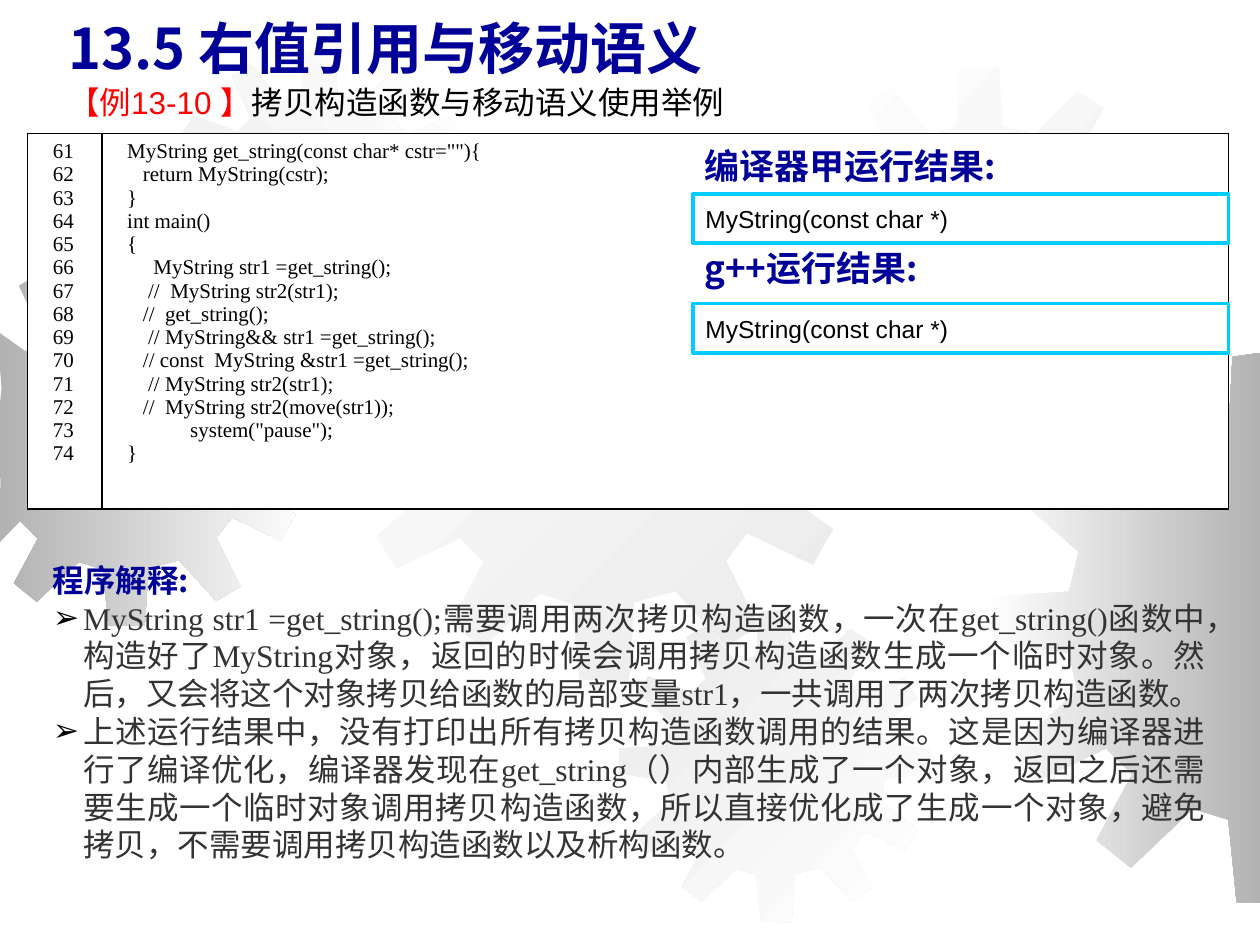
from lxml.etree import SubElement
from pptx import Presentation
from pptx.dml.color import RGBColor
from pptx.enum.shapes import MSO_SHAPE
from pptx.enum.text import MSO_ANCHOR, PP_ALIGN
from pptx.oxml import parse_xml
from pptx.oxml.ns import nsdecls, qn
from pptx.util import Inches, Pt

BLACK = RGBColor(0x00, 0x00, 0x00)
WHITE = RGBColor(0xFF, 0xFF, 0xFF)
NAVY = RGBColor(0x00, 0x00, 0x99)
RED = RGBColor(0xFF, 0x00, 0x00)
CYAN = RGBColor(0x00, 0xCC, 0xFF)
DARK_GRAY = RGBColor(0x33, 0x33, 0x33)
MID_GRAY = RGBColor(0xB2, 0xB2, 0xB2)
PALE_GRAY = RGBColor(0xEA, 0xEA, 0xEA)
CJK_FONT = "Noto Sans CJK SC"
SERIF_FONT = "Times New Roman"


def write(paragraph, text, size=18, font="Arial", color=BLACK, bold=False):
    run = paragraph.add_run()
    run.text = text
    run.font.size = Pt(size)
    run.font.name = font
    run.font.bold = bold
    run.font.color.rgb = color
    SubElement(run.font._element, qn("a:ea"), typeface=CJK_FONT)


def set_up_frame(shape, left=0.1, right=0.1, vertical=0.05):
    frame = shape.text_frame
    frame.word_wrap = True
    frame.vertical_anchor = MSO_ANCHOR.MIDDLE
    frame.margin_left, frame.margin_right = Inches(left), Inches(right)
    frame.margin_top = frame.margin_bottom = Inches(vertical)
    frame.paragraphs[0].alignment = PP_ALIGN.LEFT
    return frame


presentation = Presentation()
presentation.slide_width = Inches(10)
presentation.slide_height = Inches(7.5)
slide = presentation.slides.add_slide(presentation.slide_layouts[6])
shapes = slide.shapes

# Background gears: one outline, scaled and cut off at the slide edges
GEAR_SIZE = 4.01
GEAR_OUTLINE = [
    (2.55, 0.67), (2.23, 0.59), (2.19, 0), (1.8, 0.03), (1.77, 0.59), (1.51, 0.68),
    (1.13, 0.2), (0.87, 0.35), (1.12, 0.88), (0.94, 1.06), (0.38, 0.85), (0.25, 1.07),
    (0.68, 1.45), (0.61, 1.74), (0.01, 1.78), (0, 2.1), (0.61, 2.19), (0.67, 2.46),
    (0.22, 2.87), (0.38, 3.12), (0.88, 2.88), (1.07, 3.07), (0.81, 3.55), (1.06, 3.75),
    (1.51, 3.32), (1.77, 3.4), (1.83, 4), (2.22, 4.01), (2.26, 3.39), (2.59, 3.3),
    (2.99, 3.74), (3.25, 3.58), (2.99, 3.06), (3.16, 2.84), (3.68, 3.09), (3.84, 2.81),
    (3.36, 2.46), (3.42, 2.16), (4.01, 2.1), (4, 1.8), (3.41, 1.71), (3.35, 1.48),
    (3.83, 1.14), (3.67, 0.87), (3.13, 1.09), (2.96, 0.91), (3.23, 0.41), (2.97, 0.25),
]
# left, top, size, start colour, end colour, clockwise angle
GEARS = [
    (-0.49, 2.01, 2.96, MID_GRAY, WHITE, 0),
    (1.3, 0.39, 2.48, PALE_GRAY, WHITE, 315),
    (2.77, 1.39, 4.01, WHITE, PALE_GRAY, 45),
    (0, 5.25, 3.74, WHITE, None, 0),
    (4.91, 4.84, 2.48, PALE_GRAY, WHITE, 45),
    (6.18, 0.53, 3.2, WHITE, PALE_GRAY, 45),
    (7.82, 2.8, 4.37, WHITE, MID_GRAY, 0),
]
for left, top, size, start_color, end_color, angle in GEARS:
    scale = size / GEAR_SIZE
    points = [
        (Inches(min(max(left + x * scale, -0.01), 10.01)), Inches(min(top + y * scale, 7.54)))
        for x, y in GEAR_OUTLINE
    ]
    builder = shapes.build_freeform(*points[0])
    builder.add_line_segments(points[1:], close=True)
    gear = builder.convert_to_shape()
    gear.shadow.inherit = False
    gear.line.fill.background()
    if end_color is None:
        gear.fill.solid()
        gear.fill.fore_color.rgb = start_color
        color_element = gear._element.spPr.find(qn("a:solidFill"))[0]
        SubElement(color_element, qn("a:alpha"), val="50000")
    else:
        gear.fill.gradient()
        gear.fill.gradient_angle = (360 - angle) % 360
        for stop, color in zip(gear.fill.gradient_stops, (start_color, end_color)):
            stop.color.rgb = color

# Code listing with line numbers
CODE = """MyString get_string(const char* cstr=""){
   return MyString(cstr);
}
int main()
{
     MyString str1 =get_string();
    //  MyString str2(str1);
   //  get_string();
    // MyString&& str1 =get_string();
   // const  MyString &str1 =get_string();
    // MyString str2(str1);
   //  MyString str2(move(str1));
\tsystem("pause");
}""".split("\n")
line_numbers = [str(number) for number in range(61, 61 + len(CODE))]
table = shapes.add_table(1, 2, Inches(0.22), Inches(1.06), Inches(9.53), Inches(2.98)).table
table.first_row = table.horz_banding = False
table.columns[0].width = Inches(0.59)
table.columns[1].width = Inches(8.94)
for cell, lines in zip(table.rows[0].cells, (line_numbers, CODE)):
    cell.fill.solid()
    cell.fill.fore_color.rgb = WHITE
    cell.margin_left, cell.margin_right = Inches(0.2), Inches(0.18)
    cell.margin_top = cell.margin_bottom = Inches(0.05)
    for index, side in enumerate(("lnL", "lnR", "lnT", "lnB")):
        cell._tc.get_or_add_tcPr().insert(index, parse_xml(
            f'<a:{side} {nsdecls("a")} w="9525"><a:solidFill>'
            f'<a:srgbClr val="{BLACK}"/></a:solidFill></a:{side}>'))
    for index, line in enumerate(lines):
        frame = cell.text_frame
        paragraph = frame.add_paragraph() if index else frame.paragraphs[0]
        paragraph.line_spacing = Pt(13.3)
        write(paragraph, line, size=12, font=SERIF_FONT)

# Title and example heading
title = shapes.add_textbox(Inches(0.34), Inches(0.02), Inches(9.12), Inches(0.71))
paragraph = set_up_frame(title, 0.2, 0.18, 0.09).paragraphs[0]
write(paragraph, "13.5 右值引用与移动语义", size=32, font=CJK_FONT, color=NAVY, bold=True)
example = shapes.add_textbox(Inches(0.34), Inches(0.57), Inches(9.41), Inches(0.48))
paragraph = set_up_frame(example, 0.2, 0.18, 0.09).paragraphs[0]
write(paragraph, "【例13-10 】", color=RED)
write(paragraph, "拷贝构造函数与移动语义使用举例")

# Output of each compiler
for heading, heading_top, output_top in (
    ("编译器甲运行结果:", 1.12, 1.54),
    ("g++运行结果:", 1.93, 2.41),
):
    label = shapes.add_textbox(Inches(5.49), Inches(heading_top), Inches(3.04), Inches(0.39))
    write(set_up_frame(label).paragraphs[0], heading,
          size=20, font=CJK_FONT, color=NAVY, bold=True)
    output = shapes.add_shape(
        MSO_SHAPE.RECTANGLE, Inches(5.5), Inches(output_top), Inches(4.25), Inches(0.39))
    output.shadow.inherit = False
    output.fill.background()
    output.line.color.rgb = CYAN
    output.line.width = Pt(2)
    write(set_up_frame(output).paragraphs[0], "MyString(const char *)", size=14)

# Explanation with arrow bullets
EXPLANATIONS = [
    "MyString str1 =get_string();需要调用两次拷贝构造函数，一次在get_string()函数中，"
    "构造好了MyString对象，返回的时候会调用拷贝构造函数生成一个临时对象。然后，"
    "又会将这个对象拷贝给函数的局部变量str1，一共调用了两次拷贝构造函数。",
    "上述运行结果中，没有打印出所有拷贝构造函数调用的结果。这是因为编译器进行了编译优化，"
    "编译器发现在get_string（）内部生成了一个对象，返回之后还需要生成一个临时对象调用"
    "拷贝构造函数，所以直接优化成了生成一个对象，避免拷贝，不需要调用拷贝构造函数以及析构函数。",
]
explanation = shapes.add_textbox(Inches(0.22), Inches(4.36), Inches(9.53), Inches(2.58))
frame = set_up_frame(explanation, 0.2, 0.18, 0.09)
write(frame.paragraphs[0], "程序解释:", font=CJK_FONT, color=NAVY, bold=True)
for text in EXPLANATIONS:
    paragraph = frame.add_paragraph()
    properties = paragraph._p.get_or_add_pPr()
    properties.set("marL", str(Inches(0.24)))
    properties.set("indent", str(-Inches(0.24)))
    bullet_color = SubElement(properties, qn("a:buClr"))
    SubElement(bullet_color, qn("a:srgbClr"), val=str(BLACK))
    SubElement(properties, qn("a:buFont"), typeface="Arial")
    SubElement(properties, qn("a:buChar"), char="➢")
    write(paragraph, text, font=SERIF_FONT, color=DARK_GRAY)
for paragraph in frame.paragraphs:
    paragraph.alignment = PP_ALIGN.JUSTIFY
    paragraph.line_spacing = Pt(21.6)

presentation.save("out.pptx")
